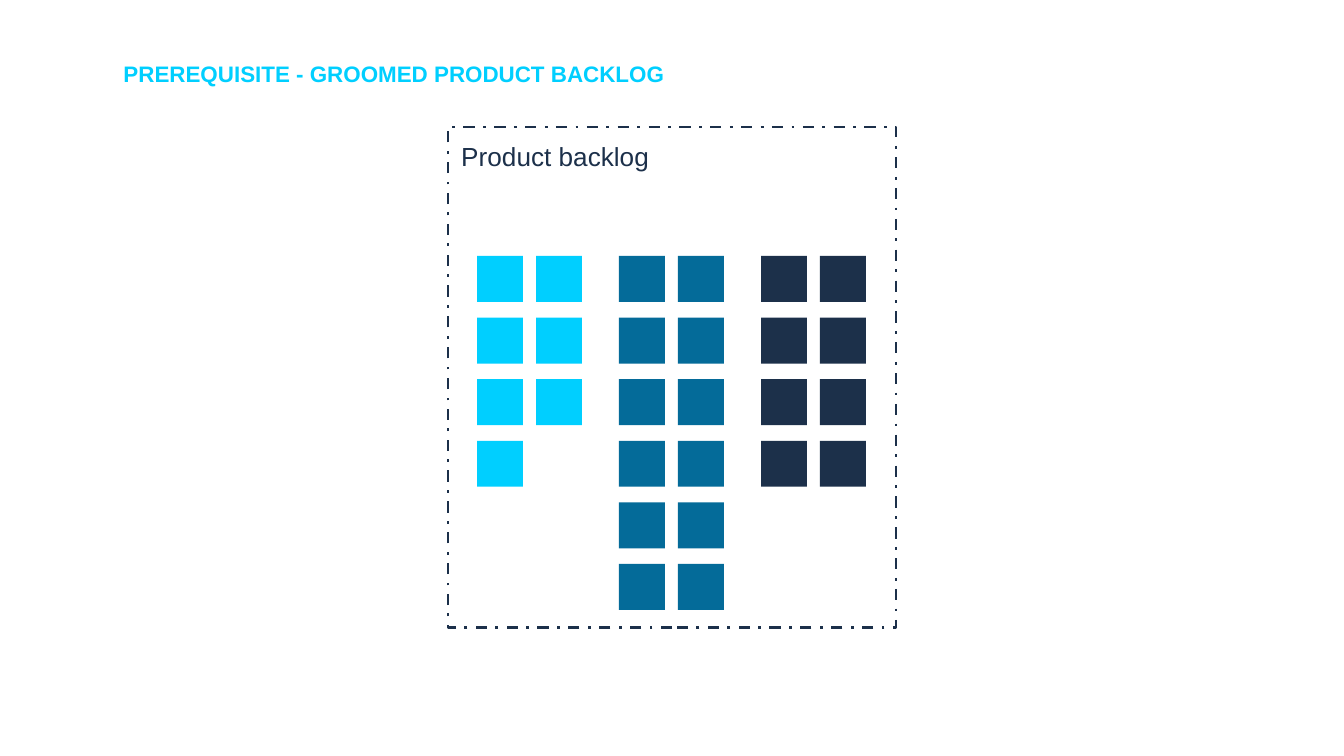
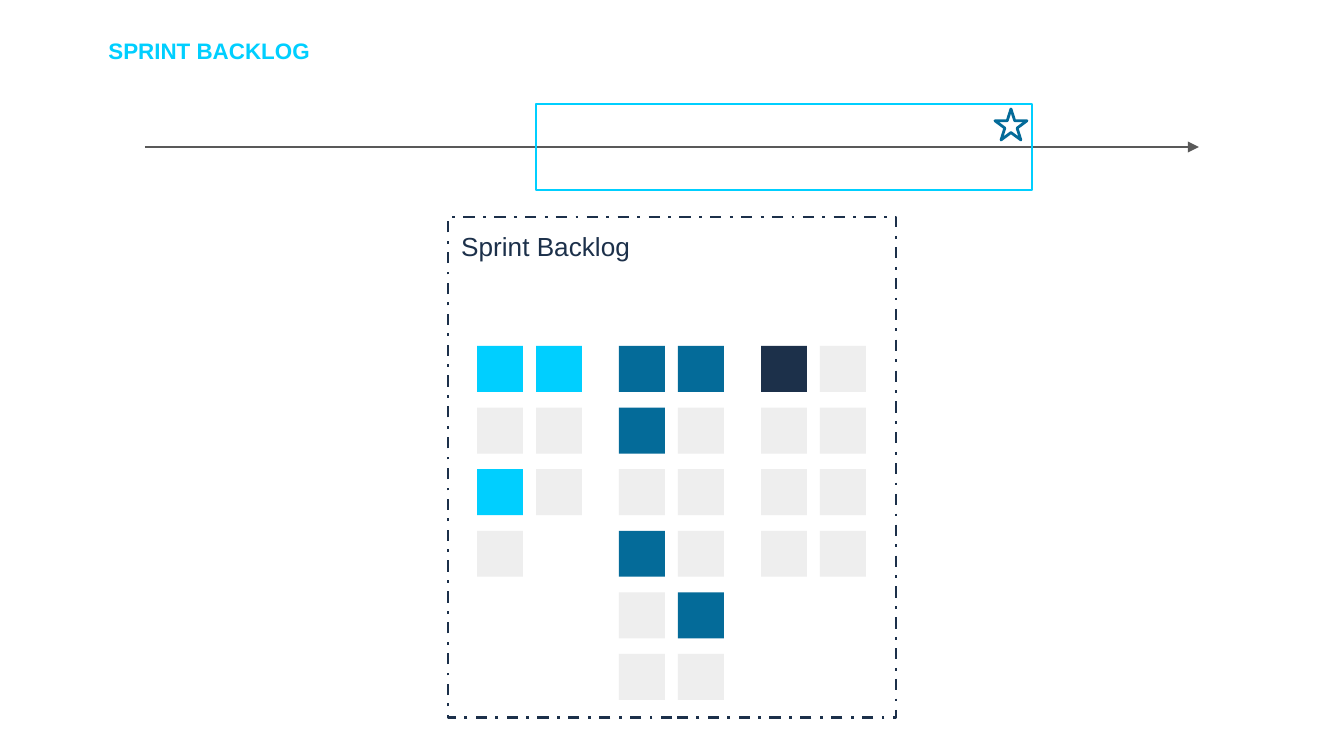
from lxml.etree import SubElement
from pptx import Presentation
from pptx.dml.color import RGBColor
from pptx.enum.dml import MSO_LINE
from pptx.enum.shapes import MSO_CONNECTOR, MSO_SHAPE
from pptx.enum.text import MSO_ANCHOR, MSO_AUTO_SIZE, PP_ALIGN
from pptx.oxml.ns import qn
from pptx.util import Inches, Pt

CYAN, BLUE, NAVY = "00CFFF", "046B99", "1C304A"
PALE, GREY = "EEEEEE", "595959"
FONT = "Arial"

# One string per row of a group: "#" is a selected item, "." an item left out.
SLIDES = [
    {
        "title": "PREREQUISITE - GROOMED PRODUCT BACKLOG",
        "title_at": (110, 43),
        "label": "Product backlog",
        "panel_top": 127,
        "groups": [
            (CYAN, ["##", "##", "##", "#"]),
            (BLUE, ["##", "##", "##", "##", "##", "##"]),
            (NAVY, ["##", "##", "##", "##"]),
        ],
        "timeline": False,
    },
    {
        "title": "SPRINT BACKLOG",
        "title_at": (95, 20),
        "label": "Sprint Backlog",
        "panel_top": 217,
        "groups": [
            (CYAN, ["##", "..", "#.", "."]),
            (BLUE, ["##", "#.", "..", "#.", ".#", ".."]),
            (NAVY, ["#.", "..", "..", ".."]),
        ],
        "timeline": True,
    },
]

SLIDE_SIZE = (1344, 756)
PANEL_LEFT, PANEL_WIDTH, PANEL_HEIGHT = 448, 448, 501
GRID_LEFT, GRID_OFFSET, GRID_HEIGHT, GRID_ROWS = 477, 129, 354, 6
ITEM, COLUMN_STEP, GROUP_STEP = 46, 59, 142
ROW_STEP = (GRID_HEIGHT - ITEM) / (GRID_ROWS - 1)
TIMELINE = (145, 1199, 147)
SPRINT_WINDOW = (536, 104, 496, 86)
STAR = (995, 109, 32, 31)


def px(length):
    return round(length * 914400 / 134.4)


def color(value):
    return RGBColor.from_string(value)


def add_shape(slide, kind, frame, fill=None, line=None, weight=1.5, dash=None):
    shape = slide.shapes.add_shape(kind, *map(px, frame))
    shape.shadow.inherit = False
    if fill:
        shape.fill.solid()
        shape.fill.fore_color.rgb = color(fill)
    else:
        shape.fill.background()
    if line:
        shape.line.color.rgb = color(line)
        shape.line.width = Pt(weight)
        if dash:
            shape.line.dash_style = dash
    else:
        shape.line.fill.background()


def write(box, text, size, text_color, bold=False):
    frame = box.text_frame
    frame.text = text
    frame.word_wrap = True
    frame.auto_size = MSO_AUTO_SIZE.NONE
    frame.vertical_anchor = MSO_ANCHOR.TOP
    frame.margin_left = frame.margin_right = Inches(0.1)
    frame.margin_top = frame.margin_bottom = Inches(0.1)
    para = frame.paragraphs[0]
    para.alignment = PP_ALIGN.LEFT
    font = para.runs[0].font
    font.name, font.size, font.bold = FONT, Pt(size), bold
    font.color.rgb = color(text_color)
    return para


def add_title(slide, text, position):
    title = slide.shapes.title
    title.left, title.top = map(px, position)
    title.width, title.height = px(738), px(98)
    para = write(title, text, 12, CYAN, bold=True)
    para.line_spacing = 1.15
    para.space_after = Pt(16)


def add_backlog(slide, label, top, groups):
    add_shape(slide, MSO_SHAPE.RECTANGLE,
              (PANEL_LEFT, top, PANEL_WIDTH, PANEL_HEIGHT),
              line=NAVY, dash=MSO_LINE.DASH_DOT)
    for group, (group_color, rows) in enumerate(groups):
        for row, marks in enumerate(rows):
            for column, mark in enumerate(marks):
                left = GRID_LEFT + group * GROUP_STEP + column * COLUMN_STEP
                item_top = top + GRID_OFFSET + row * ROW_STEP
                add_shape(slide, MSO_SHAPE.RECTANGLE,
                          (left, item_top, ITEM, ITEM),
                          fill=group_color if mark == "#" else PALE)
    box = slide.shapes.add_textbox(*map(px, (PANEL_LEFT, top, 257, 46)))
    write(box, label, 14, NAVY)


def add_timeline(slide):
    start, end, height = map(px, TIMELINE)
    arrow = slide.shapes.add_connector(MSO_CONNECTOR.STRAIGHT,
                                       start, height, end, height)
    arrow.line.color.rgb = color(GREY)
    arrow.line.width = Pt(1.5)
    SubElement(arrow.line._get_or_add_ln(), qn("a:tailEnd"), type="triangle")
    SubElement(arrow._element.spPr, qn("a:effectLst"))
    add_shape(slide, MSO_SHAPE.RECTANGLE, SPRINT_WINDOW, line=CYAN, weight=0.75)
    add_shape(slide, MSO_SHAPE.STAR_5_POINT, STAR, line=BLUE)


def main():
    deck = Presentation()
    deck.slide_width, deck.slide_height = map(px, SLIDE_SIZE)
    for content in SLIDES:
        slide = deck.slides.add_slide(deck.slide_layouts[5])
        add_title(slide, content["title"], content["title_at"])
        add_backlog(slide, content["label"], content["panel_top"],
                    content["groups"])
        if content["timeline"]:
            add_timeline(slide)
    deck.save("out.pptx")


if __name__ == "__main__":
    main()
